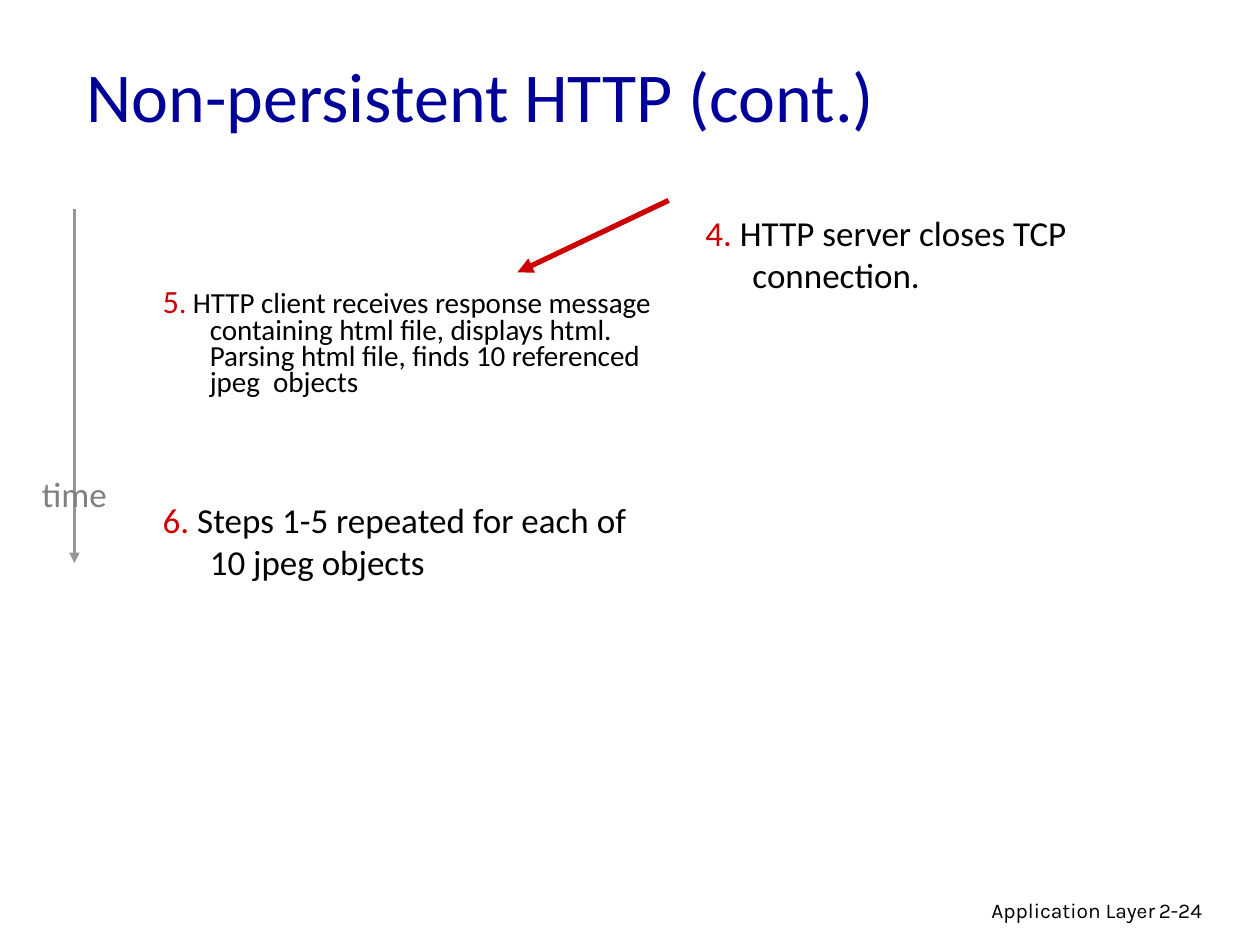
import pptx
import pptx.util
import pptx.dml.color
import pptx.enum.shapes
import pptx.enum.text
import pptx.oxml
import pptx.oxml.ns

Cm = pptx.util.Cm
Pt = pptx.util.Pt
ALIGN = pptx.enum.text.PP_ALIGN
ANCHOR = pptx.enum.text.MSO_ANCHOR

HUES = {
    "title": "000099",
    "mark": "CC0000",
    "text": "000000",
    "axis": "969696",
    "time": "808080",
}
BODY = "Calibri"
FOOT = "Karla"
FRAME = {
    "word_wrap": True,
    "vertical_anchor": ANCHOR.TOP,
    "margin_left": Cm(0.25),
    "margin_right": Cm(0.25),
    "margin_top": Cm(0.13),
    "margin_bottom": Cm(0.13),
}


def apply(item, values):
    for name, value in values.items():
        setattr(item, name, value)


def hue(name):
    return pptx.dml.color.RGBColor.from_string(HUES[name])


def fill(shape, runs, face, frame=None, para=None):
    apply(shape.text_frame, {**FRAME, **(frame or {})})
    line = shape.text_frame.paragraphs[0]
    apply(line, {"space_before": Pt(0), **(para or {})})
    for text, size, color in runs:
        run = line.add_run()
        run.text = text
        apply(run.font, {"name": face, "size": Pt(size)})
        run.font.color.rgb = hue(color)
    return line


def add_text(slide, box, runs, face=BODY, frame=None, para=None):
    shape = slide.shapes.add_textbox(*map(Cm, box))
    return fill(shape, runs, face, frame, para)


def add_title(slide, box, text):
    shape = slide.shapes.title
    apply(shape, dict(zip(("left", "top", "width", "height"), map(Cm, box))))
    fill(shape, [(text, 40, "title")], BODY,
         {"vertical_anchor": ANCHOR.MIDDLE}, {"alignment": ALIGN.LEFT})


def add_step(slide, box, runs, para=None):
    line = add_text(slide, box, runs, para=para)
    props = line._p.get_or_add_pPr()
    props.set("marL", str(Cm(0.95)))
    props.set("indent", str(-Cm(0.95)))


def add_arrow(slide, start, end, color, width):
    kind = pptx.enum.shapes.MSO_CONNECTOR.STRAIGHT
    arrow = slide.shapes.add_connector(kind, *map(Cm, start + end))
    arrow.line.color.rgb = hue(color)
    arrow.line.width = Pt(width)
    tip = pptx.oxml.parse_xml(
        '<a:tailEnd %s type="triangle"/>' % pptx.oxml.ns.nsdecls("a"))
    arrow.line._get_or_add_ln().append(tip)
    flat = pptx.oxml.parse_xml(
        "<a:effectLst %s/>" % pptx.oxml.ns.nsdecls("a"))
    arrow._element.spPr.append(flat)


def add_axis(slide, box):
    left, top, width, height = box
    mid = left + width / 2
    add_arrow(slide, (mid, top), (mid, top + height), "axis", 1.5)
    add_text(slide, (left, top + 5.18, width, 1.12), [("time", 20, "time")],
             frame={"word_wrap": False}, para={"alignment": ALIGN.CENTER})


def add_steps(slide, box):
    left, top, width, height = box
    wide = 10.59
    add_step(slide, (left + width - wide, top, wide, 2.03), [
        ("4.", 20, "mark"),
        (" HTTP server closes TCP connection.", 20, "text"),
    ])
    add_step(slide, (left, top + 1.58, wide, 4.27), [
        ("5", 18.5, "mark"),
        (".", 16.6, "mark"),
        (" HTTP client receives response message containing html file, "
         "displays html.  Parsing html file, finds 10 referenced "
         "jpeg  objects", 16.6, "text"),
    ], {"line_spacing": 0.75})
    add_step(slide, (left, top + height - 1.85, wide, 1.85), [
        ("6.", 20, "mark"),
        (" Steps 1-5 repeated for each of 10 jpeg objects", 20, "text"),
    ])
    add_arrow(slide, (left + 10.45, top - 0.1), (left + 7.4, top + 1.35),
              "mark", 3)


def add_foot(slide, box):
    left, top, width, height = box
    page = 1.88
    add_text(slide, (left, top, 8.05, height),
             [("Application Layer", 12, "text")], FOOT,
             para={"alignment": ALIGN.RIGHT})
    add_text(slide, (left + width - page, top, page, height),
             [("2-24", 12, "text")], FOOT)


def main():
    deck = pptx.Presentation()
    apply(deck, {"slide_width": Cm(25.4), "slide_height": Cm(19.05)})
    slide = deck.slides.add_slide(deck.slide_layouts[5])
    add_foot(slide, (15.49, 17.96, 9.5, 0.78))
    add_title(slide, (1.5, 0.71, 21.59, 2.41), "Non-persistent HTTP (cont.)")
    add_steps(slide, (3.03, 4.14, 21.53, 7.62))
    add_axis(slide, (0.4, 4.22, 2.2, 7.13))
    deck.save("out.pptx")


if __name__ == "__main__":
    main()
